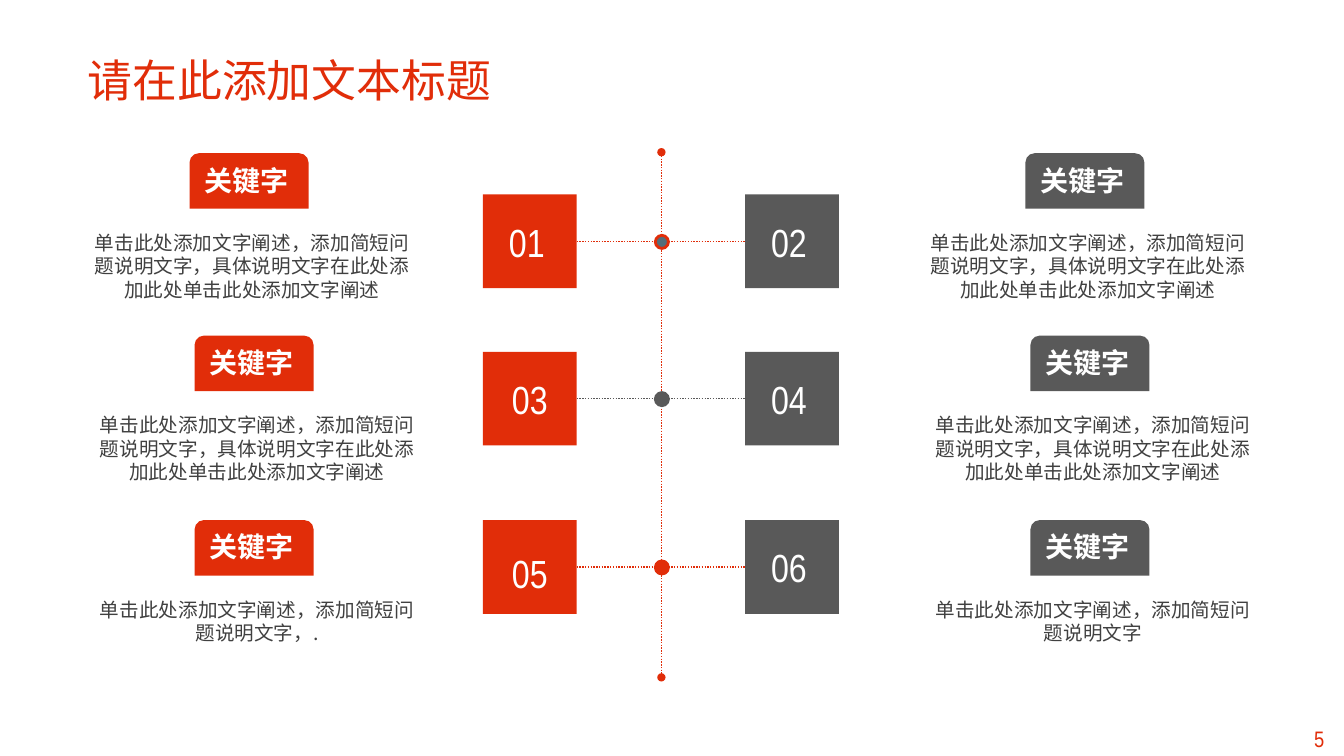
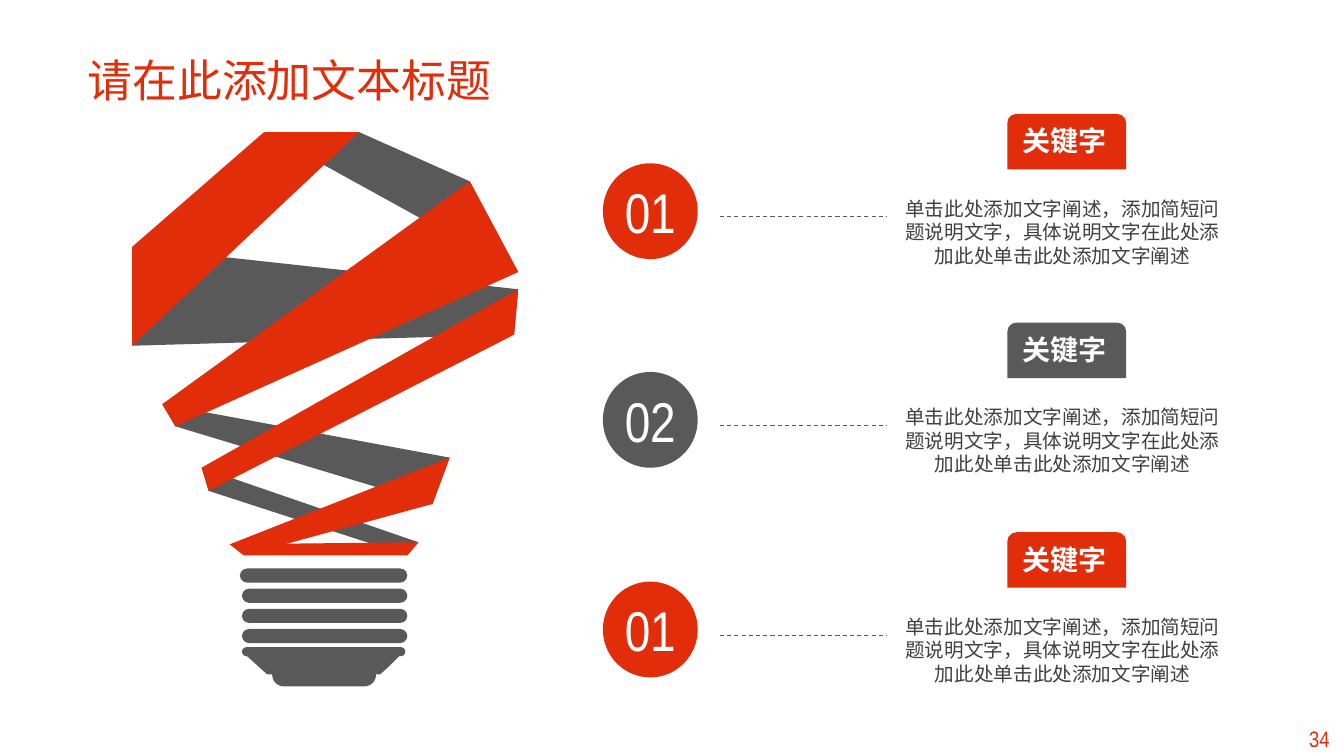
from pptx import Presentation, util as u
from pptx.dml.color import RGBColor
from pptx.enum import dml, shapes, text
from pptx.oxml.ns import qn
from lxml import etree

RED, GRAY, SLATE, INK, WHITE = "E12D09", "595959", "546E7A", "404040", "FFFFFF"
CJK, LATIN = "Noto Sans CJK SC", "Arial Narrow"
SHAPE, ALIGN, ANCHOR = shapes.MSO_SHAPE, text.PP_ALIGN, text.MSO_ANCHOR
DOTTED, DASHED = dml.MSO_LINE.ROUND_DOT, dml.MSO_LINE.DASH
TITLE = "请在此添加文本标题"
KEYWORD = "关键字"
SHORT_DETAIL = "单击此处添加文字阐述，添加简短问题说明文字"
DETAIL = SHORT_DETAIL + "，具体说明文字在此处添加此处单击此处添加文字阐述"


def color(hex_value):
    return RGBColor.from_string(hex_value)


class Deck:
    formats = {
        "title": {"size": u.Pt(32), "name": CJK, "color": RED},
        "page": {"size": u.Pt(16), "name": LATIN, "color": RED},
        "keyword": {"size": u.Pt(20), "name": CJK, "color": WHITE, "bold": True},
        "detail": {"size": u.Pt(14), "name": CJK, "color": INK},
        "square": {"size": u.Pt(28), "name": LATIN, "color": WHITE},
        "circle": {"size": u.Pt(40), "name": LATIN, "color": WHITE},
    }

    def __init__(self):
        self.prs = Presentation()
        self.prs.slide_width = u.Inches(13.33)
        self.prs.slide_height = u.Inches(7.5)
        self.slide = None

    def new_slide(self, page):
        self.slide = self.prs.slides.add_slide(self.prs.slide_layouts[6])
        self.label(TITLE, 0.77, 0.47, 5.11, 0.64, "title", ALIGN.LEFT)
        self.label(page, 12.81, 7.14, 0.55, 0.37, "page")

    def fill_text(self, frame, words, style, align=ALIGN.CENTER):
        frame.word_wrap = True
        paragraph = frame.paragraphs[0]
        paragraph.alignment = align
        run = paragraph.add_run()
        run.text = words
        for key, value in self.formats[style].items():
            if key == "color":
                run.font.color.rgb = color(value)
            else:
                setattr(run.font, key, value)
        east_asian = etree.SubElement(run.font._element, qn("a:ea"))
        east_asian.set("typeface", self.formats[style]["name"])

    def label(self, words, x, y, w, h, style, align=ALIGN.CENTER):
        box = self.slide.shapes.add_textbox(*map(u.Inches, (x, y, w, h)))
        self.fill_text(box.text_frame, words, style, align)

    def paint(self, part, fill, outline=None):
        part.shadow.inherit = False
        part.fill.solid()
        part.fill.fore_color.rgb = color(fill)
        if outline:
            part.line.color.rgb = color(outline)
            part.line.width = u.Pt(2)
        else:
            part.line.fill.background()
        return part

    def block(self, kind, x, y, w, h, fill, outline=None):
        part = self.slide.shapes.add_shape(kind, *map(u.Inches, (x, y, w, h)))
        return self.paint(part, fill, outline)

    def badge(self, kind, words, x, y, w, h, fill, style, **insets):
        frame = self.block(kind, x, y, w, h, fill).text_frame
        for side in ("left", "top", "right", "bottom"):
            setattr(frame, f"margin_{side}", u.Inches(insets.get(side, 0)))
        frame.vertical_anchor = ANCHOR.MIDDLE
        self.fill_text(frame, words, style)

    def pill(self, x, y, w, h):
        self.block(SHAPE.ROUNDED_RECTANGLE, x, y, w, h, GRAY).adjustments[0] = 0.5

    def keyword(self, x, y, fill):
        self.badge(SHAPE.ROUND_2_SAME_RECTANGLE, KEYWORD, x, y, 1.18, 0.55,
                   fill, "keyword", right=0.05, bottom=0.05)

    def line(self, x1, y1, x2, y2, stroke, width, dash, round_ends=False):
        rule = self.slide.shapes.add_connector(
            shapes.MSO_CONNECTOR.STRAIGHT, *map(u.Inches, (x1, y1, x2, y2)))
        rule.line.color.rgb = color(stroke)
        rule.line.width = u.Pt(width)
        rule.line.dash_style = dash
        properties = rule._element.spPr
        if round_ends:
            for end in ("a:headEnd", "a:tailEnd"):
                etree.SubElement(properties.find(qn("a:ln")), qn(end)).set("type", "oval")
        etree.SubElement(properties, qn("a:effectLst"))

    def polygon(self, points, fill):
        start, *others = [tuple(map(u.Inches, point)) for point in points]
        builder = self.slide.shapes.build_freeform(*start)
        builder.add_line_segments(others, close=True)
        self.paint(builder.convert_to_shape(), fill)


def timeline(deck):
    deck.new_slide("5")
    axis, side = 6.56, 0.93
    left_square, right_square = 4.79, 7.39
    deck.line(axis, 1.51, axis, 6.72, RED, 1, DOTTED, round_ends=True)
    rows = [
        (1.93, RED, SLATE, 1.52, 1.88, DETAIL, DETAIL, {"right": 0.06}),
        (3.49, GRAY, GRAY, 3.33, 1.93, DETAIL, DETAIL, {}),
        (5.16, RED, RED, 5.16, 1.93, SHORT_DETAIL + "，.", SHORT_DETAIL, {"top": 0.12}),
    ]
    for row, (top, stroke, node, tag_top, tag_left, left, right, nudge) in enumerate(rows):
        middle = top + side / 2
        deck.line(left_square + side, middle, right_square, middle, stroke, 1, DOTTED)
        deck.block(SHAPE.OVAL, axis - 0.06, middle - 0.06, 0.13, 0.13, node, stroke)
        sides = [(left_square, 0, RED, left, nudge),
                 (right_square, 8.29, GRAY, right, {"right": 0.06})]
        for column, (square, shift, fill, detail, insets) in enumerate(sides):
            number = f"{2 * row + column + 1:02}"
            deck.badge(SHAPE.RECTANGLE, number, square, top, side, side,
                       fill, "square", **insets)
            x = tag_left + shift
            deck.keyword(x, tag_top, fill)
            deck.label(detail, x - 1.07, tag_top + 0.72, 3.38, 0.81, "detail")


def bulb(deck):
    ribbons = [
        (GRAY, [(2.62, 1.31), (5.14, 2.7), (4.66, 1.8), (3.56, 1.31)]),
        (GRAY, [(1.31, 2.45), (5.14, 2.87), (5.1, 3.32), (1.31, 3.43)]),
        (GRAY, [(1.61, 4.01), (4.46, 4.54), (4.29, 5), (1.74, 4.23)]),
        (GRAY, [(2, 4.64), (4.15, 5.38), (4.04, 5.51), (2.07, 4.87)]),
        (RED, [(2.62, 1.31), (1.31, 2.45), (1.31, 3.43), (3.56, 1.31)]),
        (RED, [(2.42, 5.51), (4.29, 5), (4.46, 4.54), (2.28, 5.4)]),
        (RED, [(2.28, 5.4), (4.15, 5.38), (4.04, 5.51), (2.42, 5.51)]),
        (RED, [(4.66, 1.8), (1.61, 4.01), (1.74, 4.23), (5.14, 2.7)]),
        (RED, [(5.14, 2.87), (2, 4.64), (2.07, 4.87), (5.1, 3.32)]),
    ]
    deck.pill(2.7, 6.58, 1.03, 0.23)
    deck.polygon([(2.65, 6.69), (3.77, 6.69), (3.86, 6.61), (3.97, 6.5),
                  (2.44, 6.5)], GRAY)
    deck.pill(2.38, 5.64, 1.66, 0.14)
    for thread in range(3):
        deck.pill(2.4, 5.84 + 0.2 * thread, 1.64, 0.14)
    deck.pill(2.4, 6.42, 1.62, 0.09)
    for fill, points in ribbons:
        deck.polygon(points, fill)


def ideas(deck):
    deck.new_slide("34")
    bulb(deck)
    for number, top, fill in [("01", 1.62, RED), ("02", 3.69, GRAY), ("01", 5.77, RED)]:
        deck.badge(SHAPE.OVAL, number, 5.98, top, 0.94, 0.95, fill, "circle")
        deck.line(7.14, top + 0.53, 8.79, top + 0.53, GRAY, 0.75, DASHED)
        deck.keyword(9.99, top - 0.49, fill)
        deck.label(DETAIL, 8.86, top + 0.28, 3.36, 0.81, "detail")


def main():
    deck = Deck()
    timeline(deck)
    ideas(deck)
    deck.prs.save("out.pptx")


if __name__ == "__main__":
    main()
